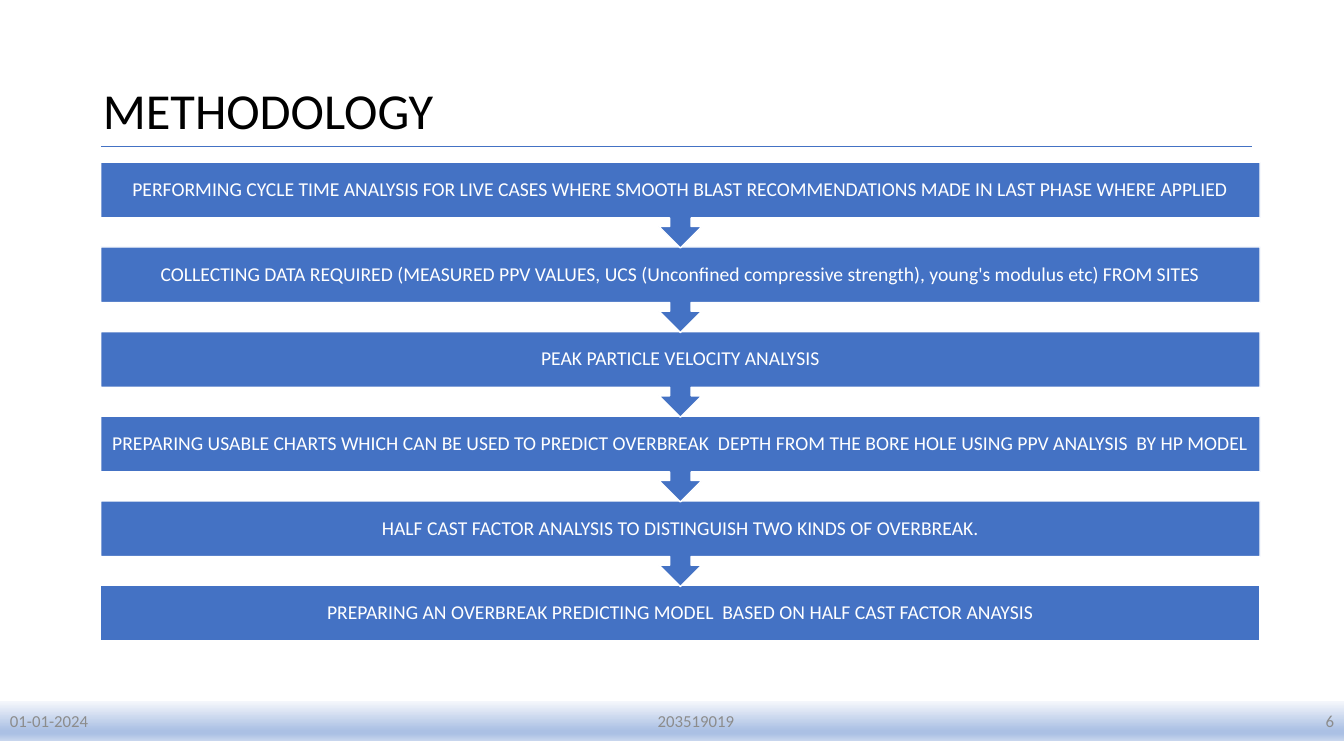
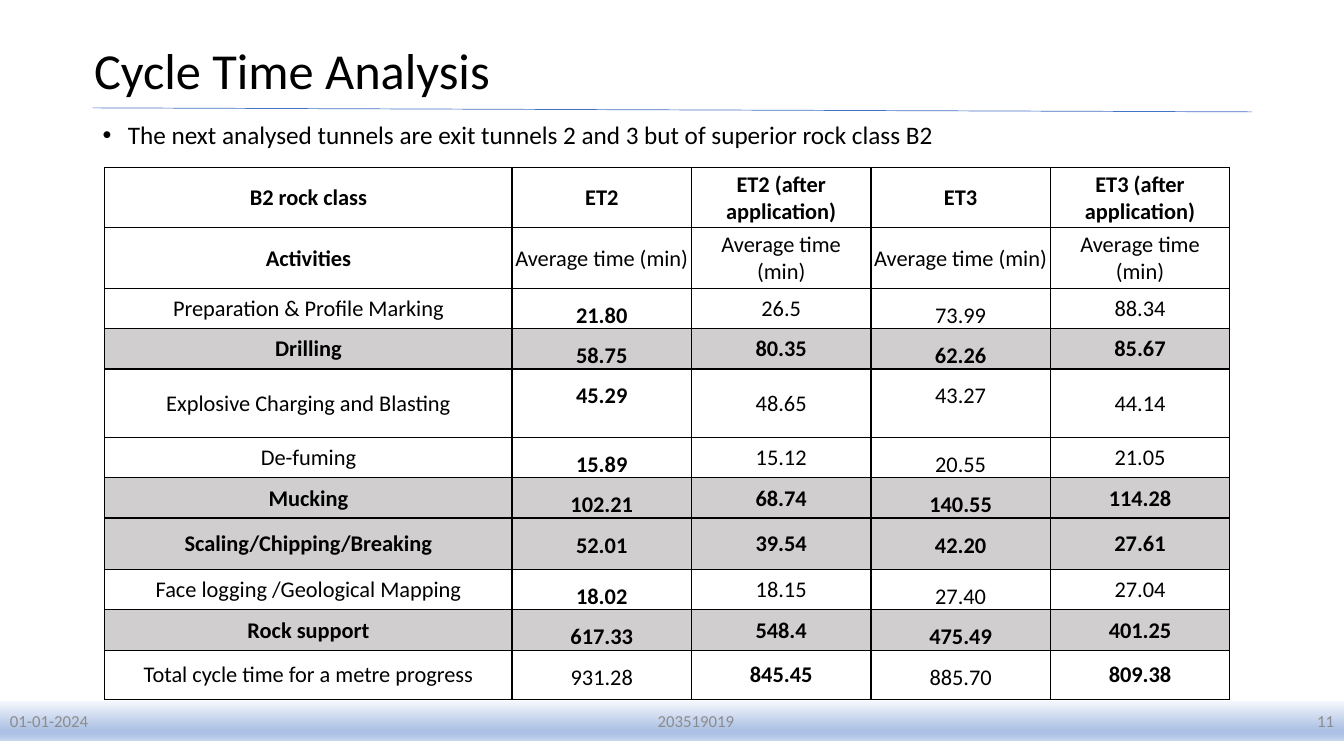
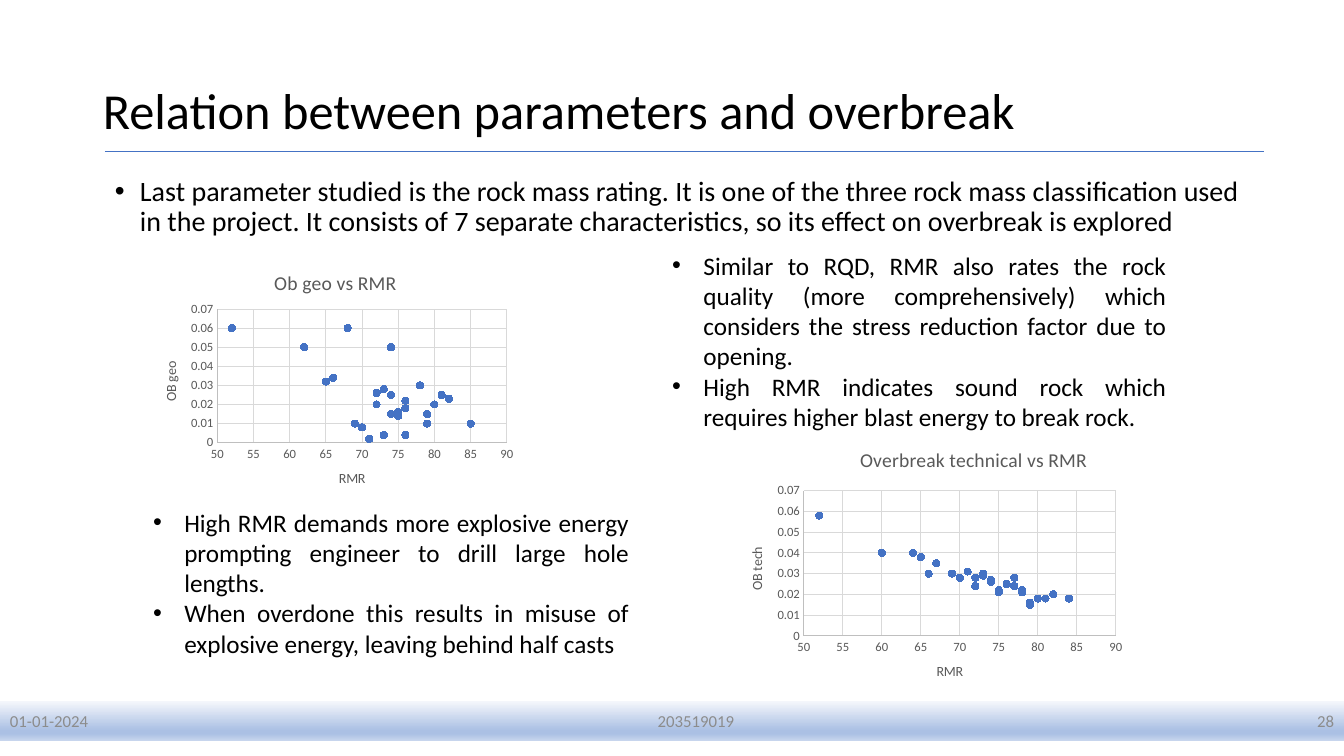
import dataclasses

import lxml.etree
import pptx
import pptx.chart.axis
import pptx.chart.data
import pptx.dml.color
import pptx.enum.chart
import pptx.enum.shapes
import pptx.enum.text
import pptx.oxml.ns
import pptx.presentation
import pptx.slide
import pptx.table
import pptx.text.text
import pptx.util

ALIGN = pptx.enum.text.PP_ALIGN
ANCHOR = pptx.enum.text.MSO_ANCHOR
SHAPE = pptx.enum.shapes.MSO_SHAPE


@dataclasses.dataclass(frozen=True)
class Theme:
    font: str = "Calibri"
    ink: str = "000000"
    paper: str = "FFFFFF"
    accent: str = "4472C4"
    muted: str = "8C8C8C"
    shade: str = "D0CECE"
    chart_text: str = "595959"
    axis: str = "BFBFBF"
    grid: str = "D9D9D9"
    band: tuple[tuple[int, str], ...] = (
        (0, "F6F8FC"), (74, "ABC0E4"), (83, "ABC0E4"), (100, "C7D5ED"))
    title_size: float = 36
    lead_size: float = 20
    body_size: float = 18
    cell_size: float = 16
    step_size: float = 14
    footer_size: float = 12
    axis_title_size: float = 10
    tick_size: float = 9


@dataclasses.dataclass(frozen=True)
class Box:
    left: float
    top: float
    width: float
    height: float

    def lengths(self) -> tuple[int, int, int, int]:
        return across(self.left), down(self.top), across(self.width), down(self.height)


@dataclasses.dataclass(frozen=True)
class TextStyle:
    size: float
    color: str
    align: ALIGN = ALIGN.LEFT
    bold: bool = False
    spacing: float = 1.0
    after: float = 0
    indent: float = 0


@dataclasses.dataclass(frozen=True)
class Heading:
    text: str
    box: Box
    rule: tuple[float, float, float, float]
    page: str


@dataclasses.dataclass(frozen=True)
class Row:
    cells: tuple[str, ...]
    height: float
    bold: tuple[int, ...] = ()
    shaded: bool = False
    measured: bool = True


@dataclasses.dataclass(frozen=True)
class Scatter:
    title: str
    value_title: str
    box: Box
    title_place: tuple[float, float]
    plot_place: tuple[float, float, float, float]
    rmr: tuple[float, ...]
    overbreak: tuple[float, ...]


THEME = Theme()
SLIDE_WIDTH = pptx.util.Inches(13.33)
SLIDE_HEIGHT = pptx.util.Inches(7.5)
ALL_COLUMNS = (0, 1, 2, 3, 4)
COLUMN_WIDTHS = (30.3,) + (13.35,) * 4
FOOTER_EDGES = (0, 32.95, 70.6, 100)

METHODOLOGY = Heading("METHODOLOGY", Box(6.9, 5.33, 86.25, 19.33), (7.5, 19.33, 93.15, 19.33), "6")
CYCLE_TIME = Heading("Cycle Time Analysis", Box(6.25, 0, 86.25, 19.33), (6.9, 14.27, 93.15, 14.8), "11")
RELATION = Heading("Relation between parameters and overbreak", Box(6.9, 5.33, 86.25, 19.33),
                   (7.8, 20, 94.05, 20), "28")

STEPS = (
    "PERFORMING CYCLE TIME ANALYSIS FOR LIVE CASES WHERE SMOOTH BLAST RECOMMENDATIONS MADE IN LAST PHASE WHERE APPLIED",
    "COLLECTING DATA REQUIRED (MEASURED PPV VALUES, UCS (Unconfined compressive strength), young's modulus etc) FROM SITES",
    "PEAK PARTICLE VELOCITY ANALYSIS",
    "PREPARING USABLE CHARTS WHICH CAN BE USED TO PREDICT OVERBREAK  DEPTH FROM THE BORE HOLE USING PPV ANALYSIS  BY HP MODEL",
    "HALF CAST FACTOR ANALYSIS TO DISTINGUISH TWO KINDS OF OVERBREAK.",
    "PREPARING AN OVERBREAK PREDICTING MODEL  BASED ON HALF CAST FACTOR ANAYSIS",
)

ROWS = (
    Row(("B2 rock class", "ET2", "ET2 (after application)", "ET3", "ET3 (after application)"),
        8, ALL_COLUMNS, measured=False),
    Row(("Activities", "Average time (min)", "Average time\n(min)", "Average time (min)",
         "Average time\n(min)"), 8, (0,), measured=False),
    Row(("Preparation & Profile Marking", "21.80", "26.5", "73.99", "88.34"), 4.93, (1,)),
    Row(("Drilling", "58.75", "80.35", "62.26", "85.67"), 4.93, ALL_COLUMNS, True),
    Row(("Explosive Charging and Blasting", "45.29", "48.65", "43.27", "44.14"), 9.07, (1,)),
    Row(("De-fuming", "15.89", "15.12", "20.55", "21.05"), 4.93, (1,)),
    Row(("Mucking", "102.21", "68.74", "140.55", "114.28"), 4.93, ALL_COLUMNS, True),
    Row(("Scaling/Chipping/Breaking", "52.01", "39.54", "42.20", "27.61"), 6.8, ALL_COLUMNS, True),
    Row(("Face logging /Geological Mapping", "18.02", "18.15", "27.40", "27.04"), 5.2, (1,)),
    Row(("Rock support", "617.33", "548.4", "475.49", "401.25"), 4.93, ALL_COLUMNS, True),
    Row(("Total cycle time for a metre progress", "931.28", "845.45", "885.70", "809.38"), 6.53, (2, 4)),
)

SCATTERS = (
    Scatter(
        "Ob geo vs RMR", "OB geo", Box(10.5, 33.07, 28.35, 34), (0.34, 0.06), (0.2, 0.23, 0.76, 0.52),
        (52, 62, 65, 66, 68, 69, 70, 71, 73, 72, 72, 73, 76, 74, 75, 75, 74, 74, 76, 76, 78, 79, 79,
         80, 81, 82, 85),
        (0.06, 0.05, 0.032, 0.034, 0.06, 0.01, 0.008, 0.002, 0.004, 0.02, 0.026, 0.028, 0.004, 0.015,
         0.014, 0.016, 0.025, 0.05, 0.018, 0.022, 0.03, 0.01, 0.015, 0.02, 0.025, 0.023, 0.01)),
    Scatter(
        "Overbreak technical vs RMR", "OB tech", Box(54.08, 57.07, 30.15, 35.6), (0.32, 0.04),
        (0.19, 0.22, 0.77, 0.54),
        (52, 60, 66, 65, 64, 69, 70, 71, 74, 72, 74, 75, 75, 76, 79, 79, 80, 72, 73, 74, 77, 77, 78,
         78, 81, 82, 84, 67, 73),
        (0.058, 0.04, 0.03, 0.038, 0.04, 0.03, 0.028, 0.031, 0.027, 0.024, 0.026, 0.022, 0.021, 0.025,
         0.015, 0.016, 0.018, 0.028, 0.03, 0.027, 0.024, 0.028, 0.022, 0.021, 0.018, 0.02, 0.018,
         0.035, 0.029)),
)


def across(percent: float) -> int:
    return round(SLIDE_WIDTH * percent / 100)


def down(percent: float) -> int:
    return round(SLIDE_HEIGHT * percent / 100)


def rgb(value: str) -> pptx.dml.color.RGBColor:
    return pptx.dml.color.RGBColor.from_string(value)


def add_element(parent: lxml.etree.ElementBase, tag: str, **attributes: str) -> lxml.etree.ElementBase:
    return lxml.etree.SubElement(parent, pptx.oxml.ns.qn(tag), attributes)


def set_font(font: pptx.text.text.Font, size: float, color: str, bold: bool = False) -> None:
    font.name = THEME.font
    font.size = pptx.util.Pt(size)
    font.bold = bold
    font.color.rgb = rgb(color)


def write(frame: pptx.text.text.TextFrame, text: str, style: TextStyle) -> None:
    frame.text = text
    frame.word_wrap = True
    for paragraph in frame.paragraphs:
        paragraph.alignment = style.align
        paragraph.line_spacing = style.spacing
        paragraph.space_after = pptx.util.Pt(style.after)
        if style.indent:
            properties = paragraph._p.get_or_add_pPr()
            indent = pptx.util.Inches(style.indent)
            properties.set("marL", str(indent))
            properties.set("indent", str(-indent))
            add_element(properties, "a:buFont", typeface="Arial")
            add_element(properties, "a:buChar", char="•")
        set_font(paragraph.font, style.size, style.color, style.bold)


def add_text(slide: pptx.slide.Slide, box: Box, text: str, style: TextStyle) -> None:
    write(slide.shapes.add_textbox(*box.lengths()).text_frame, text, style)


def add_footer(slide: pptx.slide.Slide, page: str) -> None:
    parts = zip(("01-01-2024", "203519019", page), (ALIGN.LEFT, ALIGN.CENTER, ALIGN.RIGHT),
                FOOTER_EDGES, FOOTER_EDGES[1:])
    for text, align, left, right in parts:
        box = Box(left, 92.67, right - left, 5.33)
        band = slide.shapes.add_shape(SHAPE.RECTANGLE, *box.lengths())
        band.shadow.inherit = False
        band.line.fill.background()
        band.fill.gradient()
        band.fill.gradient_angle = 270
        stops = band._element.spPr.find(".//" + pptx.oxml.ns.qn("a:gsLst"))
        for stop in list(stops):
            stops.remove(stop)
        for position, color in THEME.band:
            stop = add_element(stops, "a:gs", pos=str(position * 1000))
            add_element(stop, "a:srgbClr", val=color)
        band.text_frame.vertical_anchor = ANCHOR.MIDDLE
        write(band.text_frame, text, TextStyle(THEME.footer_size, THEME.muted, align))


def add_slide(presentation: pptx.presentation.Presentation, heading: Heading) -> pptx.slide.Slide:
    slide = presentation.slides.add_slide(presentation.slide_layouts.get_by_name("Title Only"))
    title = slide.shapes.title
    title.left, title.top, title.width, title.height = heading.box.lengths()
    title.text_frame.auto_size = pptx.enum.text.MSO_AUTO_SIZE.NONE
    title.text_frame.vertical_anchor = ANCHOR.MIDDLE
    write(title.text_frame, heading.text, TextStyle(THEME.title_size, THEME.ink, spacing=0.9))
    left, top, right, bottom = heading.rule
    rule = slide.shapes.add_connector(pptx.enum.shapes.MSO_CONNECTOR.STRAIGHT,
                                      across(left), down(top), across(right), down(bottom))
    rule.line.color.rgb = rgb(THEME.accent)
    rule.line.width = pptx.util.Pt(0.5)
    add_element(rule._element.spPr, "a:effectLst")
    add_footer(slide, heading.page)
    return slide


def add_steps(slide: pptx.slide.Slide) -> None:
    style = TextStyle(THEME.step_size, THEME.paper, ALIGN.CENTER, spacing=0.9)
    for index, text in reversed(list(enumerate(STEPS))):
        last = index == len(STEPS) - 1
        kind = SHAPE.RECTANGLE if last else SHAPE.DOWN_ARROW_CALLOUT
        box = Box(7.5, 21.47 + 11.2 * index, 86.25, 7.33 if last else 11.33)
        step = slide.shapes.add_shape(kind, *box.lengths())
        step.shadow.inherit = False
        step.fill.solid()
        step.fill.fore_color.rgb = rgb(THEME.accent)
        step.line.color.rgb = rgb(THEME.paper)
        step.line.width = pptx.util.Pt(1)
        frame = step.text_frame
        frame.margin_left = frame.margin_right = pptx.util.Inches(0.1)
        frame.vertical_anchor = ANCHOR.MIDDLE
        write(frame, text, style)


def format_cell(cell: pptx.table._Cell, row: Row, column: int) -> None:
    raised = row.measured and column in (1, 3)
    side = pptx.util.Inches(0.07 if raised else 0.01)
    cell.margin_left = cell.margin_right = side
    cell.margin_top = pptx.util.Inches(0 if raised else 0.01)
    cell.margin_bottom = 0
    cell.vertical_anchor = ANCHOR.TOP if raised else ANCHOR.MIDDLE
    properties = cell._tc.get_or_add_tcPr()
    for edge in ("a:lnL", "a:lnR", "a:lnT", "a:lnB"):
        border = add_element(properties, edge, w=str(pptx.util.Pt(1)))
        add_element(add_element(border, "a:solidFill"), "a:srgbClr", val=THEME.ink)
    if row.shaded:
        cell.fill.solid()
        cell.fill.fore_color.rgb = rgb(THEME.shade)
    else:
        cell.fill.background()
    write(cell.text_frame, row.cells[column], TextStyle(
        THEME.cell_size, THEME.ink, ALIGN.CENTER, column in row.bold,
        1.5 if raised else 1.0, 8 if raised else 0))


def add_cycle_table(slide: pptx.slide.Slide) -> None:
    box = Box(7.8, 22.13, sum(COLUMN_WIDTHS), sum(row.height for row in ROWS))
    table = slide.shapes.add_table(len(ROWS), len(COLUMN_WIDTHS), *box.lengths()).table
    table.first_row = table.horz_banding = False
    for column, width in zip(table.columns, COLUMN_WIDTHS):
        column.width = across(width)
    for index, row in enumerate(ROWS):
        table.rows[index].height = down(row.height)
        for column in range(len(row.cells)):
            format_cell(table.cell(index, column), row, column)


def place(parent: lxml.etree.ElementBase, index: int, shares: tuple[float, ...]) -> None:
    for layout in parent.findall(pptx.oxml.ns.qn("c:layout")):
        parent.remove(layout)
    layout = parent.makeelement(pptx.oxml.ns.qn("c:layout"))
    parent.insert(index, layout)
    manual = add_element(layout, "c:manualLayout")
    if len(shares) == 4:
        add_element(manual, "c:layoutTarget", val="inner")
    for mode in ("c:xMode", "c:yMode"):
        add_element(manual, mode, val="edge")
    for tag, share in zip(("c:x", "c:y", "c:w", "c:h"), shares):
        add_element(manual, tag, val=str(share))


def format_axis(axis: pptx.chart.axis.ValueAxis, title: str, low: float, high: float, unit: float) -> None:
    axis.minimum_scale, axis.maximum_scale, axis.major_unit = low, high, unit
    axis.major_tick_mark = axis.minor_tick_mark = pptx.enum.chart.XL_TICK_MARK.NONE
    axis.tick_labels.number_format = "General"
    axis.tick_labels.number_format_is_linked = False
    set_font(axis.tick_labels.font, THEME.tick_size, THEME.chart_text)
    axis.has_major_gridlines = True
    for line, color in ((axis.format.line, THEME.axis), (axis.major_gridlines.format.line, THEME.grid)):
        line.color.rgb = rgb(color)
        line.width = pptx.util.Pt(0.75)
    write_chart_title(axis.axis_title, title, THEME.axis_title_size)


def write_chart_title(
        title: pptx.chart.axis.AxisTitle | pptx.chart.chart.ChartTitle, text: str, size: float) -> None:
    title.text_frame.text = text
    set_font(title.text_frame.paragraphs[0].font, size, THEME.chart_text)


def add_scatter(slide: pptx.slide.Slide, scatter: Scatter) -> None:
    data = pptx.chart.data.XyChartData()
    points = data.add_series("Series 1")
    for rmr, overbreak in zip(scatter.rmr, scatter.overbreak):
        points.add_data_point(rmr, overbreak)
    chart = slide.shapes.add_chart(
        pptx.enum.chart.XL_CHART_TYPE.XY_SCATTER, *scatter.box.lengths(), data).chart
    set_font(chart.font, THEME.axis_title_size, THEME.ink)
    chart.has_legend = False
    chart.has_title = True
    write_chart_title(chart.chart_title, scatter.title, THEME.step_size)
    format_axis(chart.category_axis, "RMR", 50, 90, 5)
    format_axis(chart.value_axis, scatter.value_title, 0, 0.07, 0.01)
    place(chart.chart_title._element, 1, scatter.title_place)
    place(chart._chartSpace.find(".//" + pptx.oxml.ns.qn("c:plotArea")), 0, scatter.plot_place)
    plot = chart.plots[0]
    plot.vary_by_categories = False
    series = plot.series[0]
    series.format.line.fill.background()
    series.marker.style = pptx.enum.chart.XL_MARKER_STYLE.CIRCLE
    series.marker.size = 5
    series.marker.format.fill.solid()
    series.marker.format.fill.fore_color.rgb = rgb(THEME.accent)
    series.marker.format.line.color.rgb = rgb(THEME.accent)


def main() -> None:
    presentation = pptx.Presentation()
    presentation.slide_width = SLIDE_WIDTH
    presentation.slide_height = SLIDE_HEIGHT

    add_steps(add_slide(presentation, METHODOLOGY))

    cycle_slide = add_slide(presentation, CYCLE_TIME)
    add_text(cycle_slide, Box(6.9, 15.6, 86.25, 6),
             "The next analysed tunnels are exit tunnels 2 and 3 but of superior rock class B2",
             TextStyle(THEME.body_size, THEME.ink, spacing=0.9, indent=0.25))
    add_cycle_table(cycle_slide)

    relation_slide = add_slide(presentation, RELATION)
    add_text(relation_slide, Box(7.8, 22.8, 86.25, 10),
             "Last parameter studied is the rock mass rating. It is one of the three rock mass "
             "classification used in the project. It consists of 7 separate characteristics, "
             "so its effect on overbreak is explored",
             TextStyle(THEME.lead_size, THEME.ink, spacing=0.9, indent=0.25))
    for scatter in SCATTERS:
        add_scatter(relation_slide, scatter)
    remark = TextStyle(THEME.body_size, THEME.ink, ALIGN.JUSTIFY, indent=0.31)
    add_text(relation_slide, Box(49.28, 32.4, 38.25, 25.6),
             "Similar to RQD, RMR also rates the rock quality (more comprehensively) which considers "
             "the stress reduction factor due to opening.\n"
             "High RMR indicates sound rock which requires higher blast energy to break rock.", remark)
    add_text(relation_slide, Box(10.65, 66.4, 36.9, 21.6),
             "High RMR demands more explosive energy prompting engineer to drill large hole lengths.\n"
             "When overdone this results in misuse of explosive energy, leaving behind half casts", remark)

    presentation.save("out.pptx")


if __name__ == "__main__":
    main()
